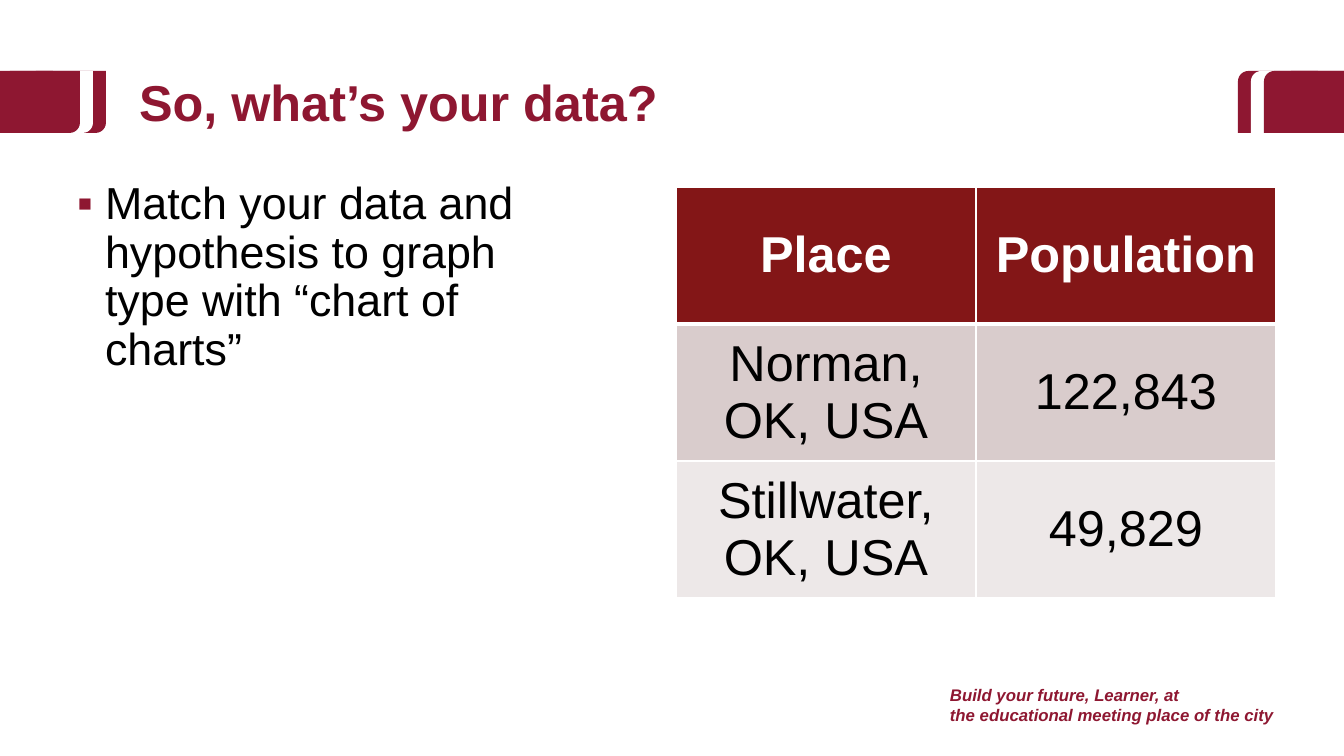
from lxml.etree import SubElement
from pptx import Presentation
from pptx.dml.color import RGBColor
from pptx.enum.shapes import MSO_SHAPE as SHAPE
from pptx.enum.text import MSO_ANCHOR as ANCHOR, MSO_AUTO_SIZE as AUTO, PP_ALIGN as ALIGN
from pptx.oxml.ns import qn
from pptx.util import Pt

# Content
TITLE = "So, what’s your data?"
BULLET = "Match your data and hypothesis to graph type with “chart of charts”"
ROWS = [
    ("Place", "Population"),
    ("Norman, OK, USA", "122,843"),
    ("Stillwater, OK, USA", "49,829"),
]
MOTTO = ["Build your future, Learner, at", "the educational meeting place of the city"]

# Colours
CRIMSON = RGBColor(0x8E, 0x17, 0x31)
WHITE = RGBColor(0xFF, 0xFF, 0xFF)
BLACK = RGBColor(0, 0, 0)
HEADER = RGBColor(0x83, 0x16, 0x17)
BANDS = [HEADER, RGBColor(0xD9, 0xCC, 0xCC), RGBColor(0xED, 0xE8, 0xE8)]

# Layout in px, 100.8 px to the inch
WIDTH, HEIGHT = 1344, 756
TITLE_BOX = (129, 78, 807, 55)
BODY_BOX = (67, 176, 506, 455)
TABLE_BOX = (676, 187, 600, 411)
MOTTO_BOX = (940, 680, 376, 50)
TAB_Y, TAB_W, TAB_H, TAB_STEP, EDGE_W = 71, 80, 62, 13, 53


def px(n):
    return round(n * 914400 / 100.8)


def box(dims):
    return [px(n) for n in dims]


def place(sp, dims):
    sp.left, sp.top, sp.width, sp.height = box(dims)


def write(p, text, color, **fmt):
    r = p.add_run()
    r.text = text
    r.font.color.rgb = color
    for name, value in {"name": "Arial", **fmt}.items():
        setattr(r.font, name, value)


def add_block(kind, dims, color):
    sp = s.shapes.add_shape(kind, *box(dims))
    sp.shadow.inherit = False
    sp.fill.solid()
    sp.fill.fore_color.rgb = color
    sp.line.fill.background()


def add_border(cell, side, points):
    ln = SubElement(cell._tc.get_or_add_tcPr(), qn(f"a:ln{side}"), w=str(Pt(points)))
    SubElement(SubElement(ln, qn("a:solidFill")), qn("a:srgbClr"), val=str(WHITE))


prs = Presentation()
prs.slide_width, prs.slide_height = px(WIDTH), px(HEIGHT)
s = prs.slides.add_slide(prs.slide_layouts[1])

# Layered tabs at both edges, innermost first
for right in (False, True):
    for step, color in ((2, CRIMSON), (1, WHITE), (0, CRIMSON)):
        x = step * TAB_STEP
        x = WIDTH - TAB_W - x if right else x
        add_block(SHAPE.ROUND_2_DIAG_RECTANGLE, (x, TAB_Y, TAB_W, TAB_H), color)
    x = WIDTH - EDGE_W if right else 0
    add_block(SHAPE.RECTANGLE, (x, TAB_Y, EDGE_W, TAB_H), CRIMSON)

# Title
title = s.shapes.title
place(title, TITLE_BOX)
tf = title.text_frame
tf.auto_size, tf.vertical_anchor = AUTO.NONE, ANCHOR.MIDDLE
p = tf.paragraphs[0]
p.alignment, p.line_spacing = ALIGN.LEFT, 0.9
write(p, TITLE, CRIMSON, size=Pt(36), bold=True)

# Bullet list
body = s.placeholders[1]
place(body, BODY_BOX)
tf = body.text_frame
tf.auto_size, tf.vertical_anchor = AUTO.NONE, ANCHOR.TOP
p = tf.paragraphs[0]
p.line_spacing, p.space_before = 0.9, Pt(10)
write(p, BULLET, BLACK, size=Pt(32))
pPr = p._p.get_or_add_pPr()
pPr.set("marL", str(px(28)))
pPr.set("indent", str(px(-28)))
SubElement(SubElement(pPr, qn("a:buClr")), qn("a:srgbClr"), val=str(CRIMSON))
SubElement(pPr, qn("a:buFont"), typeface="Arial")
SubElement(pPr, qn("a:buChar"), char="▪")

# Population table
table = s.shapes.add_table(len(ROWS), len(ROWS[0]), *box(TABLE_BOX)).table
for i, row in enumerate(ROWS):
    for j, text in enumerate(row):
        cell = table.cell(i, j)
        for side in "LRTB":
            heavy = (i, side) in ((0, "B"), (1, "T"))
            add_border(cell, side, 3 if heavy else 1)
        cell.fill.solid()
        cell.fill.fore_color.rgb = BANDS[i]
        cell.vertical_anchor = ANCHOR.MIDDLE
        p = cell.text_frame.paragraphs[0]
        p.alignment = ALIGN.CENTER
        write(p, text, BLACK if i else WHITE, size=Pt(36), bold=i == 0)

# Motto
tf = s.shapes.add_textbox(*box(MOTTO_BOX)).text_frame
tf.word_wrap = True
for i, line in enumerate(MOTTO):
    p = tf.add_paragraph() if i else tf.paragraphs[0]
    write(p, line, CRIMSON, size=Pt(12), bold=True, italic=True)

prs.save("out.pptx")
